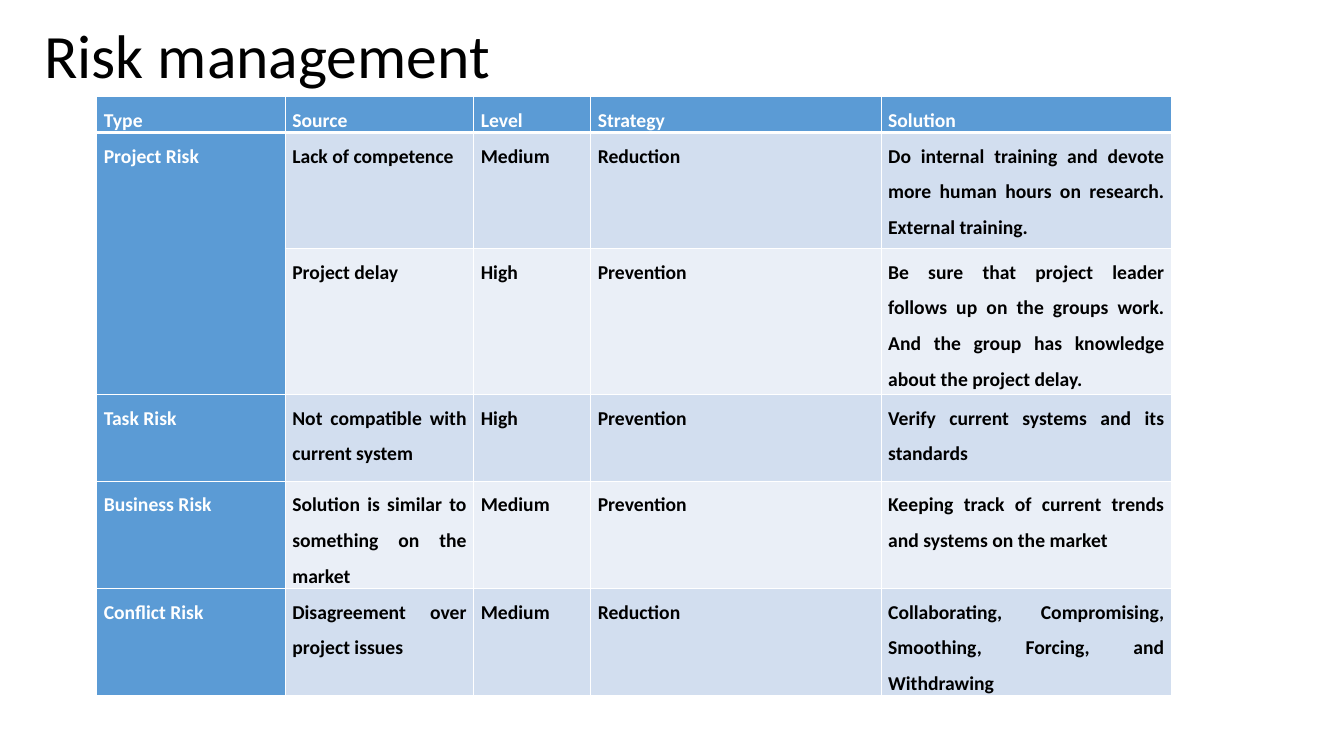
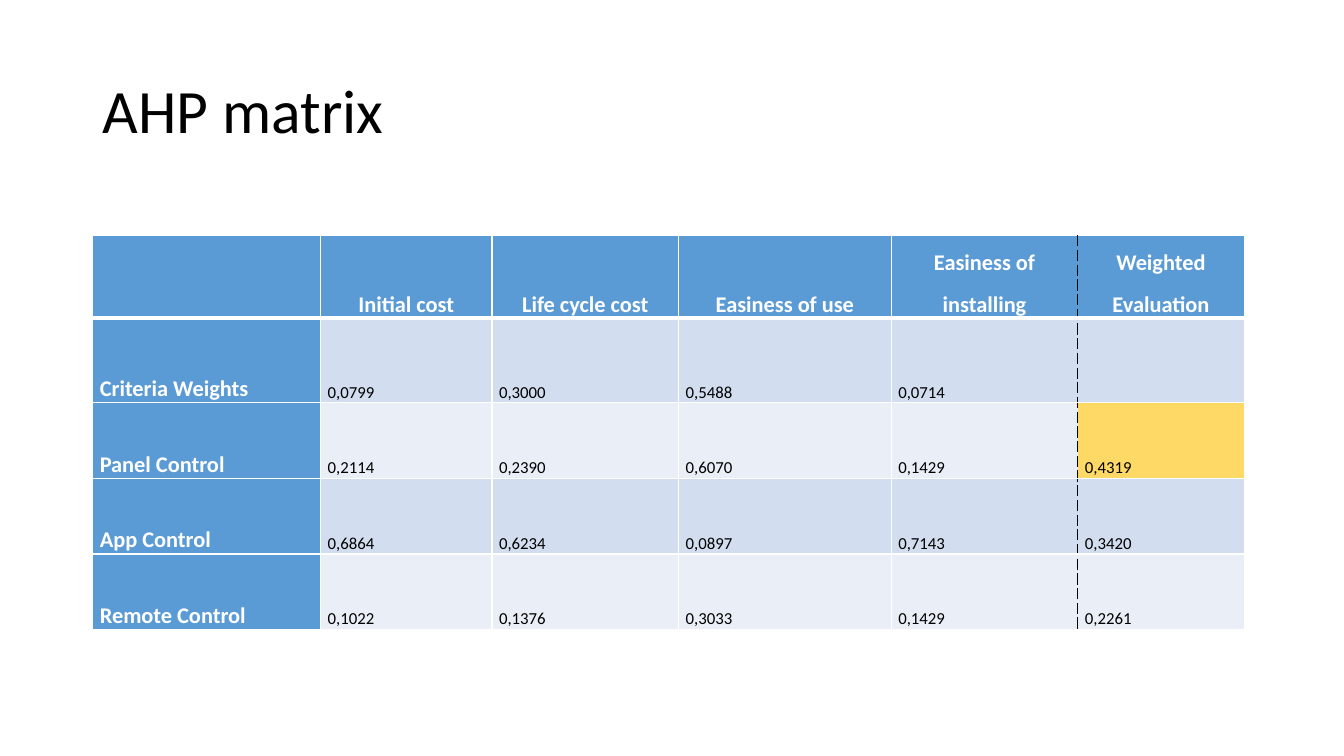
from lxml.etree import SubElement
from pptx import Presentation
from pptx.dml.color import RGBColor
from pptx.enum.text import MSO_ANCHOR as ANCHOR, MSO_AUTO_SIZE as AUTO_SIZE, PP_ALIGN as ALIGN
from pptx.oxml.ns import qn
from pptx.util import Pt

PX = 9144  # 100 px to the inch
FONT = "Calibri"
COLORS = {
    "text": "000000",
    "white": "FFFFFF",
    "head": "5B9BD5",
    "odd": "D2DEEF",
    "even": "EAEFF7",
    "best": "FFD966",
}

RISKS = [
    ["Type", "Source", "Level", "Strategy", "Solution"],
    ["Project Risk", "Lack of competence", "Medium", "Reduction",
     "Do internal training and devote more human hours on research. External training."],
    ["", "Project delay", "High", "Prevention",
     "Be sure that project leader follows up on the groups work. "
     "And the group has knowledge about the project delay."],
    ["Task Risk", "Not compatible with current system", "High", "Prevention",
     "Verify current systems and its standards"],
    ["Business Risk", "Solution is similar to something on the market", "Medium", "Prevention",
     "Keeping track of current trends and systems on the market"],
    ["Conflict Risk", "Disagreement over project issues", "Medium", "Reduction",
     "Collaborating, Compromising, Smoothing, Forcing, and Withdrawing"],
]
AHP = [
    ["", "Initial cost", "Life cycle cost", "Easiness of use", "Easiness of installing",
     "Weighted Evaluation"],
    ["Criteria Weights", "0,0799", "0,3000", "0,5488", "0,0714", ""],
    ["Panel Control", "0,2114", "0,2390", "0,6070", "0,1429", "0,4319"],
    ["App Control", "0,6864", "0,6234", "0,0897", "0,7143", "0,3420"],
    ["Remote Control", "0,1022", "0,1376", "0,3033", "0,1429", "0,2261"],
]


def rgb(name):
    return RGBColor.from_string(COLORS[name])


def style_paragraph(p, size, color, bold=False, align=ALIGN.LEFT, spacing=1.5):
    p.alignment, p.line_spacing = align, spacing
    p.font.name, p.font.size, p.font.bold = FONT, Pt(size), bold
    p.font.color.rgb = rgb(color)


def add_titled_slide(prs, title, left, top):
    s = prs.slides.add_slide(prs.slide_layouts[5])
    sp = s.shapes.title
    sp.left, sp.top, sp.width, sp.height = (v * PX for v in (left, top, 1150, 145))
    tf = sp.text_frame
    tf.text = title
    tf.auto_size, tf.vertical_anchor = AUTO_SIZE.NONE, ANCHOR.MIDDLE
    style_paragraph(tf.paragraphs[0], 44, "text", spacing=0.9)
    return s


def set_border(cell, side, width=1, color="white", dash="solid"):
    """Draw one side (L, R, T or B); call in that order, before the fill."""
    ln = SubElement(cell._tc.get_or_add_tcPr(), qn(f"a:ln{side}"), w=str(Pt(width)))
    fill = SubElement(ln, qn("a:solidFill"))
    SubElement(fill, qn("a:srgbClr"), val=COLORS[color])
    SubElement(ln, qn("a:prstDash"), val=dash)


def add_matrix(s, rows, box, widths, heights, head_size, body_size, body_bold=False,
               head_align=ALIGN.JUSTIFY, anchor=ANCHOR.TOP, dashed_before=None):
    """Add a banded table with a coloured first row and first column."""
    frame = s.shapes.add_table(len(rows), len(widths), *(v * PX for v in box))
    table = frame.table
    table.first_row = table.horz_banding = False
    for column, width in zip(table.columns, widths):
        column.width = width * PX
    for row, height in zip(table.rows, heights):
        row.height = height * PX

    dashed = {"color": "text", "dash": "sysDash"}
    for i, texts in enumerate(rows):
        for j, text in enumerate(texts):
            cell = table.cell(i, j)
            is_head = i == 0 or j == 0
            set_border(cell, "L", **(dashed if j == dashed_before else {}))
            set_border(cell, "R", **(dashed if j + 1 == dashed_before else {}))
            set_border(cell, "T", 3 if i == 1 else 1)
            set_border(cell, "B", 3 if i == 0 else 1)
            cell.fill.solid()
            cell.fill.fore_color.rgb = rgb("head" if is_head else "odd" if i % 2 else "even")
            cell.margin_left = cell.margin_right = 7 * PX
            cell.margin_top = cell.margin_bottom = 0
            cell.vertical_anchor = anchor
            cell.text = text
            style_paragraph(cell.text_frame.paragraphs[0],
                            head_size if is_head else body_size,
                            "white" if is_head else "text",
                            is_head or body_bold,
                            head_align if i == 0 else ALIGN.JUSTIFY)
    return table


def add_risk_slide(prs):
    s = add_titled_slide(prs, "Risk management", 34, -14)
    table = add_matrix(s, RISKS, (96, 96, 1067, 591), [187, 187, 116, 288, 288],
                       [26, 115, 145, 86, 86, 86], 14, 14, body_bold=True)
    table.cell(1, 0).merge(table.cell(2, 0))


def add_ahp_slide(prs):
    s = add_titled_slide(prs, "AHP matrix", 92, 40)
    table = add_matrix(s, AHP, (92, 234, 1142, 387), [226, 170, 185, 211, 185, 165],
                       [75, 84, 75, 75, 75], 16, 12, head_align=ALIGN.CENTER,
                       anchor=ANCHOR.BOTTOM, dashed_before=5)
    table.cell(0, 5).vertical_anchor = ANCHOR.TOP
    table.cell(2, 5).fill.fore_color.rgb = rgb("best")


def main():
    prs = Presentation()
    prs.slide_width, prs.slide_height = 1333 * PX, 750 * PX
    add_risk_slide(prs)
    add_ahp_slide(prs)
    prs.save("out.pptx")


if __name__ == "__main__":
    main()
